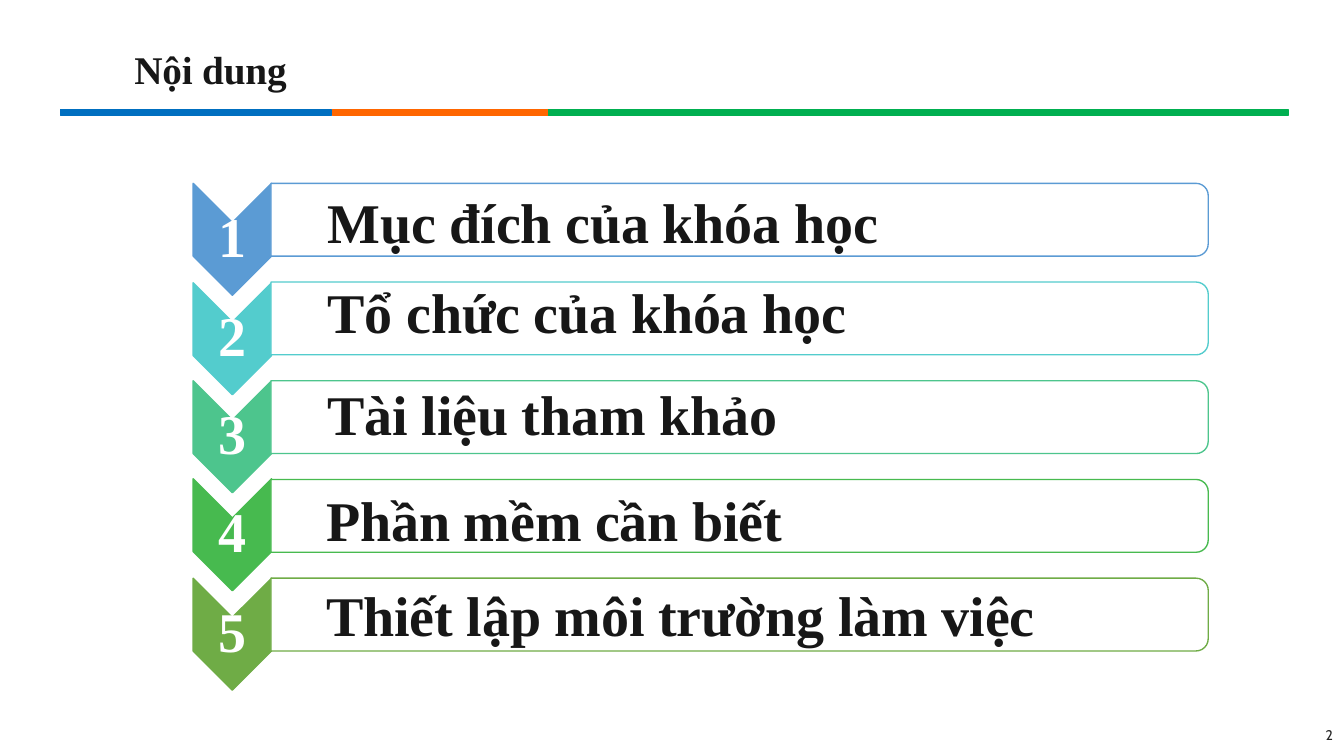
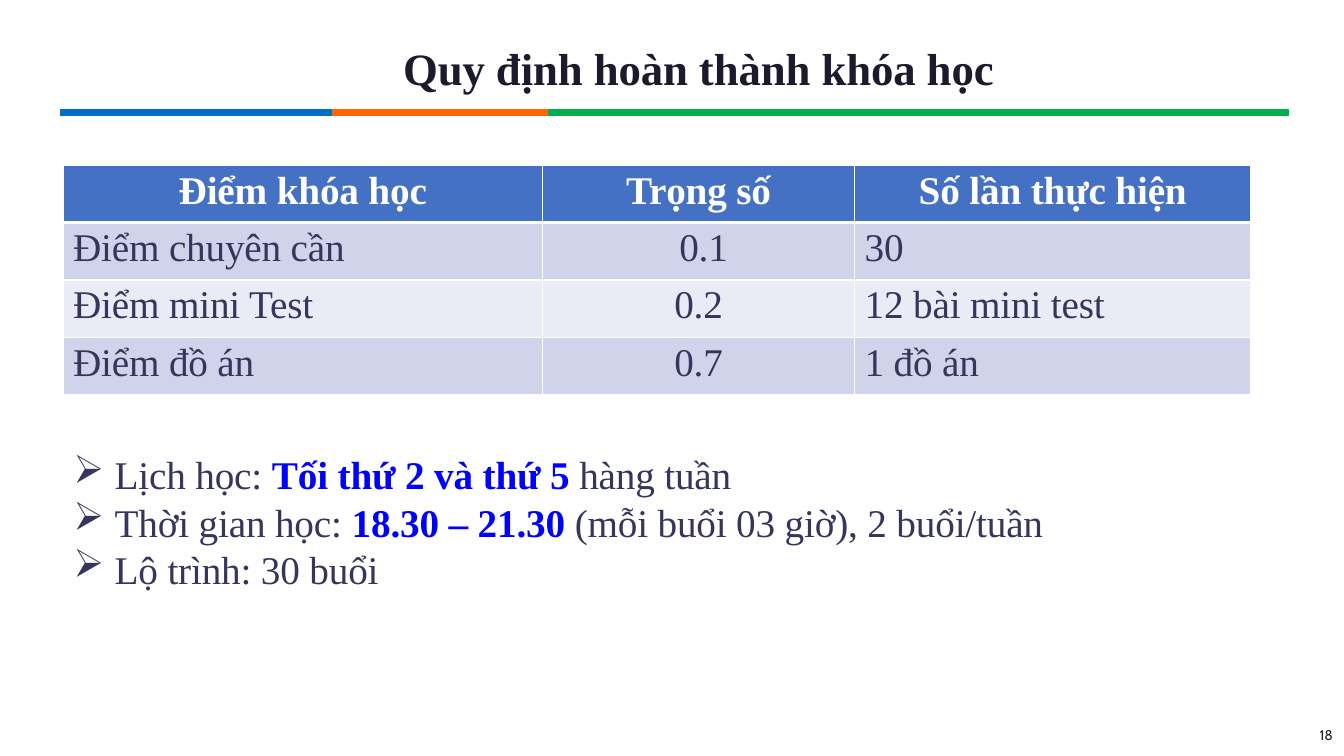
"""Build two course slides: the contents list and the completion rules."""
from dataclasses import dataclass

from lxml.etree import SubElement
from pptx import Presentation
from pptx.dml.color import RGBColor as Rgb
from pptx.enum.shapes import MSO_SHAPE as Preset
from pptx.enum.text import MSO_ANCHOR as Anchor, PP_ALIGN as Align
from pptx.oxml.ns import qn
from pptx.util import Pt


@dataclass(frozen=True)
class Theme:
    """Hold the colours, fonts and type sizes of the deck."""
    font: str = "Times New Roman"
    number_font: str = "Cabin"
    white: str = "FFFFFF"
    ink: str = "171717"
    heading: str = "1B1B2D"
    body: str = "36365C"
    accent: str = "0000FF"
    number: str = "252525"
    table_head: str = "4471C4"
    table_rows: tuple = ("CFD4EA", "E9EBF5")
    steps: tuple = ("5B9BD4", "53CCCD", "4DC58D", "47BA4F", "6FAC46")
    number_size: int = 10
    body_size: int = 28
    heading_size: int = 32
    item_size: int = 40
    outline: float = 0.96


THEME = Theme()
BAND = (("006FC0", 43.2, 193.4), ("FF6600", 237.6, 154.6), ("00AF50", 391.7, 528.5))
STEPS = (
    ("Mục đích của khóa học", 233.3, 134),
    ("Tổ chức của khóa học", 233.3, 198),
    ("Tài liệu tham khảo", 233.3, 271),
    ("Phần mềm cần biết", 232.5, 346.5),
    ("Thiết lập môi trường làm việc", 232.5, 415),
)
GRADES = (
    ("Điểm khóa học", "Trọng số", "Số lần thực hiện"),
    ("Điểm chuyên cần", "0.1", "30"),
    ("Điểm mini Test", "0.2", "12 bài mini test"),
    ("Điểm đồ án", "0.7", "1 đồ án"),
)
SCHEDULE = (
    (("Lịch học: ", False), ("Tối thứ 2 và thứ 5 ", True), ("hàng tuần", False)),
    (("Thời gian học: ", False), ("18.30 – 21.30 ", True),
     ("(mỗi buổi 03 giờ), 2 buổi/tuần", False)),
    (("Lộ trình: 30 buổi", False),),
)


def apply(target, formats):
    """Set each named attribute on the target."""
    for name, value in formats.items():
        setattr(target, name, value)


def margins(left=0, top=0, right=0, bottom=0):
    """Return text margins as format values."""
    return {"margin_left": Pt(left), "margin_top": Pt(top),
            "margin_right": Pt(right), "margin_bottom": Pt(bottom)}


def add_span(para, text, size, color, bold=False, font=THEME.font):
    """Add one formatted run of text."""
    span = para.add_run()
    span.text = text
    apply(span.font, {"name": font, "size": Pt(size), "bold": bold})
    span.font.color.rgb = Rgb.from_string(color)
    span.font._element.set("spc", "-10")


def add_box(page, left, top, width, height):
    """Add a wrapping text box without margins and return its frame."""
    frame = page.shapes.add_textbox(Pt(left), Pt(top), Pt(width), Pt(height)).text_frame
    apply(frame, {"word_wrap": True, **margins()})
    return frame


def add_line_of_text(page, text, left, top, size, color):
    """Add a bold single line of text."""
    frame = add_box(page, left, top, 640, size * 1.2)
    add_span(frame.paragraphs[0], text, size, color, bold=True)


def paint(shape, fill, line):
    """Give a shape its fill and outline and remove its shadow."""
    shape.shadow.inherit = False
    shape.fill.solid()
    shape.fill.fore_color.rgb = Rgb.from_string(fill)
    shape.line.color.rgb = Rgb.from_string(line)
    shape.line.width = Pt(THEME.outline)


def add_page(deck, number):
    """Add a blank page with the colour band and page number."""
    page = deck.slides.add_slide(deck.slide_layouts[6])
    for color, left, width in BAND:
        strip = page.shapes.add_shape(Preset.RECTANGLE, Pt(left), Pt(78), Pt(width), Pt(4.5))
        paint(strip, color, color)
    para = add_box(page, 912, 519, 40, 13).paragraphs[0]
    para.alignment = Align.RIGHT
    add_span(para, str(number), THEME.number_size, THEME.number, font=THEME.number_font)
    return page


def add_chevron(page, label, left, top, color):
    """Add a downward chevron holding a number."""
    width, side, tip = 56, 52, 28
    middle, right = left + width / 2, left + width
    builder = page.shapes.build_freeform(left, top, scale=float(Pt(1)))
    builder.add_line_segments([
        (middle, top + tip), (right, top), (right, top + side),
        (middle, top + side + tip), (left, top + side)], close=True)
    chevron = builder.convert_to_shape()
    paint(chevron, color, color)
    frame = chevron.text_frame
    apply(frame, {"vertical_anchor": Anchor.MIDDLE, **margins(bottom=6)})
    para = frame.paragraphs[0]
    para.alignment = Align.CENTER
    add_span(para, label, THEME.item_size, THEME.white, bold=True)


def add_frame(page, left, top, color):
    """Add an outlined bar with its two right corners rounded."""
    width, height = 669.5, 52
    shift = (width - height) / 2
    bar = page.shapes.add_shape(Preset.ROUND_2_SAME_RECTANGLE, Pt(left + shift),
                                Pt(top - shift), Pt(height), Pt(width))
    bar.rotation = 90
    paint(bar, THEME.white, color)


def add_border(cell, side, width):
    """Draw a white border on one side of a cell."""
    line = SubElement(cell._tc.get_or_add_tcPr(), qn(f"a:{side}"), w=str(Pt(width)))
    fill = SubElement(line, qn("a:solidFill"))
    SubElement(fill, qn("a:srgbClr"), val=THEME.white)


def format_cell(cell, text, row, column):
    """Fill one table cell with its text, borders and colour."""
    head = row == 0
    centred = head or column == 1
    indent = 7.2 if row == 1 or not centred else 0
    apply(cell, margins(left=indent, top=2.9))
    for side in ("lnL", "lnR", "lnT", "lnB"):
        thick = (row, side) in ((0, "lnB"), (1, "lnT"))
        add_border(cell, side, 3 if thick else 1)
    cell.fill.solid()
    fill = THEME.table_head if head else THEME.table_rows[(row - 1) % 2]
    cell.fill.fore_color.rgb = Rgb.from_string(fill)
    para = cell.text_frame.paragraphs[0]
    apply(para, {"alignment": Align.CENTER if centred else Align.LEFT,
                 "space_before": Pt(2.6)})
    add_span(para, text, THEME.body_size, THEME.white if head else THEME.body, bold=head)


def add_grades(page):
    """Add the table of course grades."""
    widths, height = (342.5, 223, 283), 41
    table = page.shapes.add_table(len(GRADES), len(widths), Pt(45), Pt(118),
                                  Pt(sum(widths)), Pt(height * len(GRADES))).table
    for column, width in zip(table.columns, widths):
        column.width = Pt(width)
    for row, texts in enumerate(GRADES):
        table.rows[row].height = Pt(height)
        for column, text in enumerate(texts):
            format_cell(table.cell(row, column), text, row, column)


def add_bullets(page, lines):
    """Add the arrow-bulleted schedule."""
    frame = add_box(page, 52, 322, 720, 101)
    for index, spans in enumerate(lines):
        para = frame.add_paragraph() if index else frame.paragraphs[0]
        settings = para._p.get_or_add_pPr()
        settings.set("marL", str(Pt(30)))
        settings.set("indent", str(-Pt(29.5)))
        SubElement(settings, qn("a:buChar"), char="➢")
        for text, strong in spans:
            add_span(para, text, THEME.body_size,
                     THEME.accent if strong else THEME.body, bold=strong)


def build_contents(deck):
    """Build the page listing the course contents."""
    page = add_page(deck, 2)
    add_line_of_text(page, "Nội dung", 96, 32.5, THEME.body_size, THEME.ink)
    for index, (text, left, top) in enumerate(STEPS):
        row_top = 131 + index * 70.5
        color = THEME.steps[index]
        add_chevron(page, str(index + 1), 138, row_top, color)
        add_frame(page, 193.5, row_top, color)
        add_line_of_text(page, text, left + 0.7, top, THEME.item_size, THEME.ink)


def build_rules(deck):
    """Build the page with grades and schedule."""
    page = add_page(deck, 18)
    add_line_of_text(page, "Quy định hoàn thành khóa học", 288, 29,
                     THEME.heading_size, THEME.heading)
    add_grades(page)
    add_bullets(page, SCHEDULE)


def main():
    """Build and save the deck."""
    deck = Presentation()
    apply(deck, {"slide_width": Pt(960), "slide_height": Pt(540)})
    build_contents(deck)
    build_rules(deck)
    deck.save("out.pptx")


if __name__ == "__main__":
    main()
